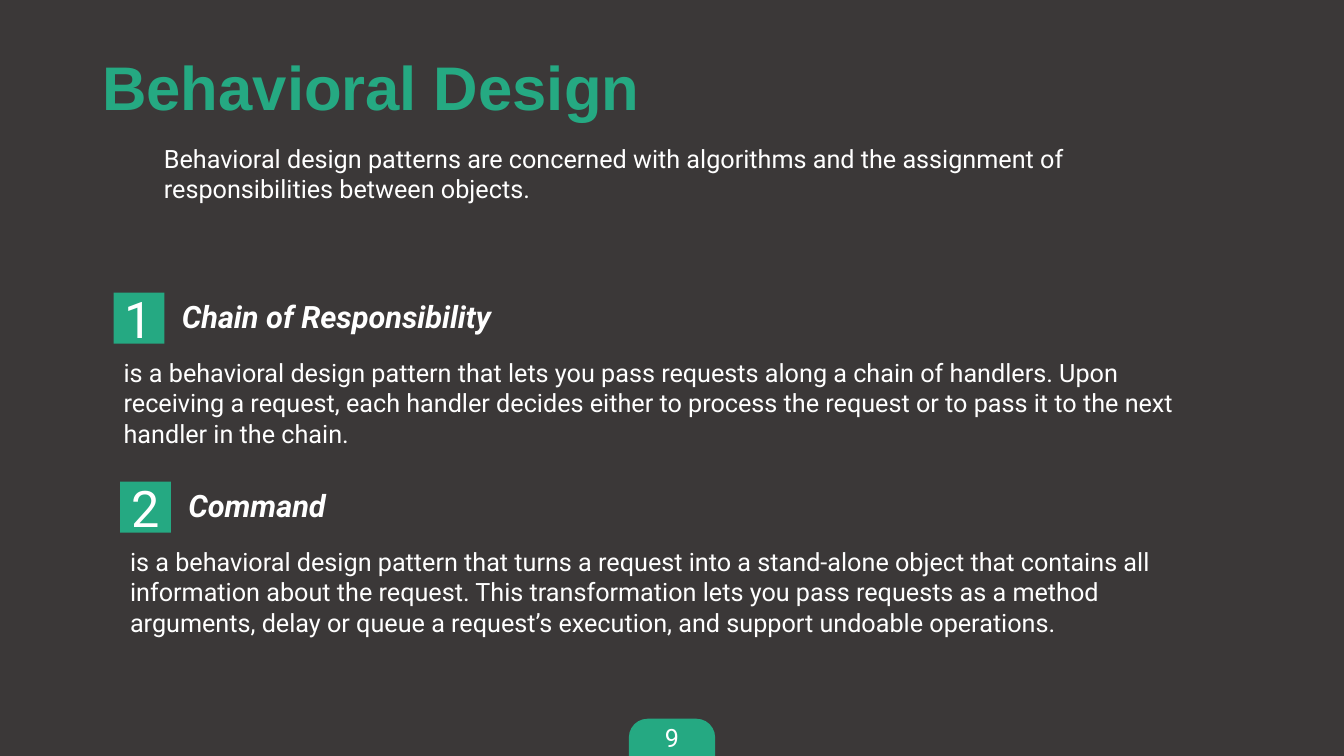
from dataclasses import dataclass

from pptx import Presentation
from pptx.dml.color import RGBColor
from pptx.enum.shapes import MSO_SHAPE as Preset
from pptx.enum.text import MSO_ANCHOR as Anchor, PP_ALIGN as Align
from pptx.shapes.autoshape import Shape
from pptx.slide import Slide
from pptx.util import Pt

COLORS = {"background": "3B3838", "accent": "25A982", "text": "FFFFFF"}

FORMATS = {
    "title": {"name": "Arial", "size": Pt(44), "bold": True},
    "body": {"name": "Roboto", "size": Pt(18)},
    "number": {"name": "Roboto", "size": Pt(36)},
    "heading": {"name": "Roboto", "size": Pt(22), "bold": True, "italic": True},
}


@dataclass(frozen=True)
class Box:
    left: float
    top: float
    width: float
    height: float

    def lengths(self) -> tuple[Pt, Pt, Pt, Pt]:
        return Pt(self.left), Pt(self.top), Pt(self.width), Pt(self.height)


@dataclass(frozen=True)
class Pattern:
    number: str
    name: str
    description: str
    left: float
    top: float
    name_width: float


PATTERNS = [
    Pattern(
        "1",
        "Chain of Responsibility",
        "is a behavioral design pattern that lets you pass requests along a chain "
        "of handlers. Upon receiving a request, each handler decides either to "
        "process the request or to pass it to the next handler in the chain.",
        81.2, 209, 293,
    ),
    Pattern(
        "2",
        "Command",
        "is a behavioral design pattern that turns a request into a stand-alone "
        "object that contains all information about the request. This "
        "transformation lets you pass requests as a method arguments, delay or "
        "queue a request’s execution, and support undoable operations.",
        85.8, 344, 150.5,
    ),
]


def write(
    shape: Shape,
    text: str,
    style: str,
    color: str = "text",
    anchor: Anchor = Anchor.TOP,
    align: Align = Align.LEFT,
    line_spacing: float = 1.0,
) -> None:
    frame = shape.text_frame
    frame.word_wrap = True
    frame.vertical_anchor = anchor
    paragraph = frame.paragraphs[0]
    paragraph.alignment = align
    paragraph.line_spacing = line_spacing
    run = paragraph.add_run()
    run.text = text
    for attribute, value in FORMATS[style].items():
        setattr(run.font, attribute, value)
    run.font.color.rgb = RGBColor.from_string(COLORS[color])


def add_text(slide: Slide, box: Box, text: str, style: str, **options) -> None:
    write(slide.shapes.add_textbox(*box.lengths()), text, style, **options)


def add_accent(slide: Slide, preset: Preset, box: Box) -> Shape:
    shape = slide.shapes.add_shape(preset, *box.lengths())
    shape.shadow.inherit = False
    shape.fill.solid()
    shape.fill.fore_color.rgb = RGBColor.from_string(COLORS["accent"])
    shape.line.fill.background()
    return shape


def add_pattern(slide: Slide, pattern: Pattern) -> None:
    left, top = pattern.left, pattern.top
    badge = add_accent(slide, Preset.RECTANGLE, Box(left, top, 36.2, 36.5))
    write(badge, pattern.number, "number", anchor=Anchor.MIDDLE, align=Align.CENTER)
    add_text(slide, Box(left + 41.6, top, pattern.name_width, 36), pattern.name, "heading")
    add_text(slide, Box(left, top + 42.8, 785, 72.7), pattern.description, "body")


def add_page_tab(slide: Slide, page: str) -> None:
    tab = add_accent(slide, Preset.ROUND_2_SAME_RECTANGLE, Box(449.2, 513.4, 61.6, 26.6))
    tab.adjustments[0] = 0.5
    add_text(slide, Box(451.2, 513.4, 57.6, 26.6), page, "body",
             anchor=Anchor.MIDDLE, align=Align.CENTER)


def main() -> None:
    presentation = Presentation()
    presentation.slide_width = Pt(960)
    presentation.slide_height = Pt(540)
    slide = presentation.slides.add_slide(presentation.slide_layouts[6])
    slide.background.fill.solid()
    slide.background.fill.fore_color.rgb = RGBColor.from_string(COLORS["background"])

    add_page_tab(slide, "9")
    add_text(slide, Box(66, 12.2, 828, 104.4), "Behavioral Design", "title",
             color="accent", anchor=Anchor.MIDDLE, line_spacing=0.9)
    add_text(
        slide,
        Box(110, 98.8, 740, 94.3),
        "Behavioral design patterns are concerned with algorithms and the "
        "assignment of responsibilities between objects.",
        "body",
    )
    for pattern in PATTERNS:
        add_pattern(slide, pattern)

    presentation.save("out.pptx")


if __name__ == "__main__":
    main()
